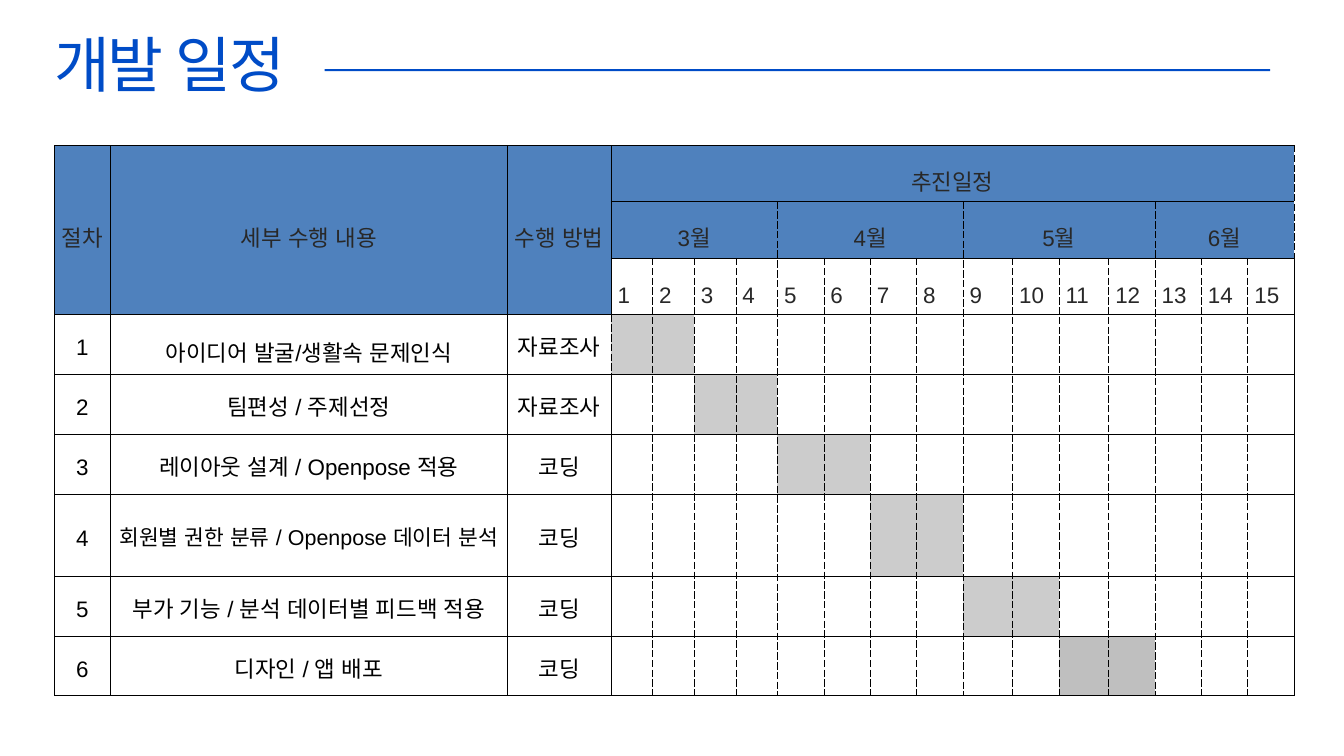
from lxml import etree
from pptx import Presentation
from pptx import util as u
from pptx.dml.color import RGBColor
from pptx.enum import shapes, text
from pptx.oxml import ns

BLUE = RGBColor(0x00, 0x4C, 0xC7)
HEADER = RGBColor(0x4F, 0x81, 0xBD)
DARK = RGBColor(0x28, 0x28, 0x28)
BLACK = RGBColor(0x00, 0x00, 0x00)
LIGHT_GRAY = RGBColor(0xCC, 0xCC, 0xCC)
GRAY = RGBColor(0xBF, 0xBF, 0xBF)
FONT = "Arial"
CENTER = text.PP_ALIGN.CENTER


def px(count):
    return u.Emu(count * 9144)


def write(frame, words, size=24, color=BLACK, align=CENTER, leading=34.6, spacing=0):
    para = frame.paragraphs[0]
    para.alignment = align
    para.line_spacing = u.Pt(leading)
    span = para.add_run()
    span.text = words
    span.font.size = u.Pt(size)
    span.font.color.rgb = color
    span.font.name = FONT
    properties = span.font._element
    etree.SubElement(properties, ns.qn("a:ea"), typeface=FONT)
    if spacing:
        properties.set("spc", str(spacing))


deck = Presentation()
deck.slide_width, deck.slide_height = px(2000), px(1125)
page = deck.slides.add_slide(deck.slide_layouts[6])

title = page.shapes.add_textbox(px(81), px(45), px(1081), px(121))
frame = title.text_frame
frame.word_wrap = True
frame.margin_left = frame.margin_top = frame.margin_right = frame.margin_bottom = 0
write(frame, "개발 일정", size=65, color=BLUE, align=text.PP_ALIGN.LEFT, leading=74.8, spacing=-260)

rule = page.shapes.add_shape(shapes.MSO_SHAPE.RECTANGLE, px(483), px(103), px(1407), px(3))
rule.shadow.inherit = False
rule.fill.solid()
rule.fill.fore_color.rgb = BLUE
rule.line.fill.background()

widths = [83, 591, 154] + [62] * 4 + [69] * 4 + [74, 69, 74] + [69] * 4
heights = [74, 74, 79, 89, 89, 89, 122, 89, 89]
table = page.shapes.add_table(
    len(heights), len(widths), px(81), px(216), px(sum(widths)), px(sum(heights))
).table
table.first_row = table.horz_banding = False
for column, width in zip(table.columns, widths):
    column.width = px(width)
for row, height in zip(table.rows, heights):
    row.height = px(height)

for y in range(len(heights)):
    for x in range(len(widths)):
        cell = table.cell(y, x)
        cell.vertical_anchor = text.MSO_ANCHOR.MIDDLE
        cell.margin_left = cell.margin_top = cell.margin_right = cell.margin_bottom = px(10)
        properties = cell._tc.get_or_add_tcPr()
        for side, edge in (("L", x), ("R", x + 1), ("T", None), ("B", None)):
            solid = (
                edge is None
                or edge < 3
                or (edge == 3 and y != 3)
                or (edge == len(widths) and y != 1)
            )
            line = etree.SubElement(properties, ns.qn(f"a:ln{side}"), w=str(u.Pt(0.33)))
            paint = etree.SubElement(line, ns.qn("a:solidFill"))
            etree.SubElement(paint, ns.qn("a:srgbClr"), val=str(BLACK))
            etree.SubElement(line, ns.qn("a:prstDash"), val="solid" if solid else "sysDash")
        cell.fill.background()

headers = [
    ("절차", 0, 0, 2, 0),
    ("세부 수행 내용", 0, 1, 2, 1),
    ("수행 방법", 0, 2, 2, 2),
    ("추진일정", 0, 3, 0, 17),
    ("3월", 1, 3, 1, 6),
    ("4월", 1, 7, 1, 10),
    ("5월", 1, 11, 1, 14),
    ("6월", 1, 15, 1, 17),
]
for words, top, left, bottom, right in headers:
    cell = table.cell(top, left)
    cell.merge(table.cell(bottom, right))
    cell.fill.solid()
    cell.fill.fore_color.rgb = HEADER
    write(cell.text_frame, words, color=DARK, leading=46.1)

for week in range(1, 16):
    write(table.cell(2, week + 2).text_frame, str(week), color=DARK,
          align=text.PP_ALIGN.JUSTIFY, leading=46.1)

tasks = [
    ("아이디어 발굴/생활속 문제인식", "자료조사", 24, 46.1, LIGHT_GRAY),
    ("팀편성 / 주제선정", "자료조사", 24, 34.6, LIGHT_GRAY),
    ("레이아웃 설계 / Openpose 적용", "코딩", 24, 34.6, LIGHT_GRAY),
    ("회원별 권한 분류 / Openpose 데이터 분석", "코딩", 23, 33.1, LIGHT_GRAY),
    ("부가 기능 / 분석 데이터별 피드백 적용", "코딩", 24, 34.6, LIGHT_GRAY),
    ("디자인 / 앱 배포", "코딩", 24, 34.6, GRAY),
]
for index, (task, method, size, leading, shade) in enumerate(tasks):
    y = index + 3
    write(table.cell(y, 0).text_frame, str(index + 1))
    write(table.cell(y, 1).text_frame, task, size=size, leading=leading)
    write(table.cell(y, 2).text_frame, method)
    for x in (3 + 2 * index, 4 + 2 * index):
        cell = table.cell(y, x)
        cell.fill.solid()
        cell.fill.fore_color.rgb = shade

deck.save("out.pptx")
